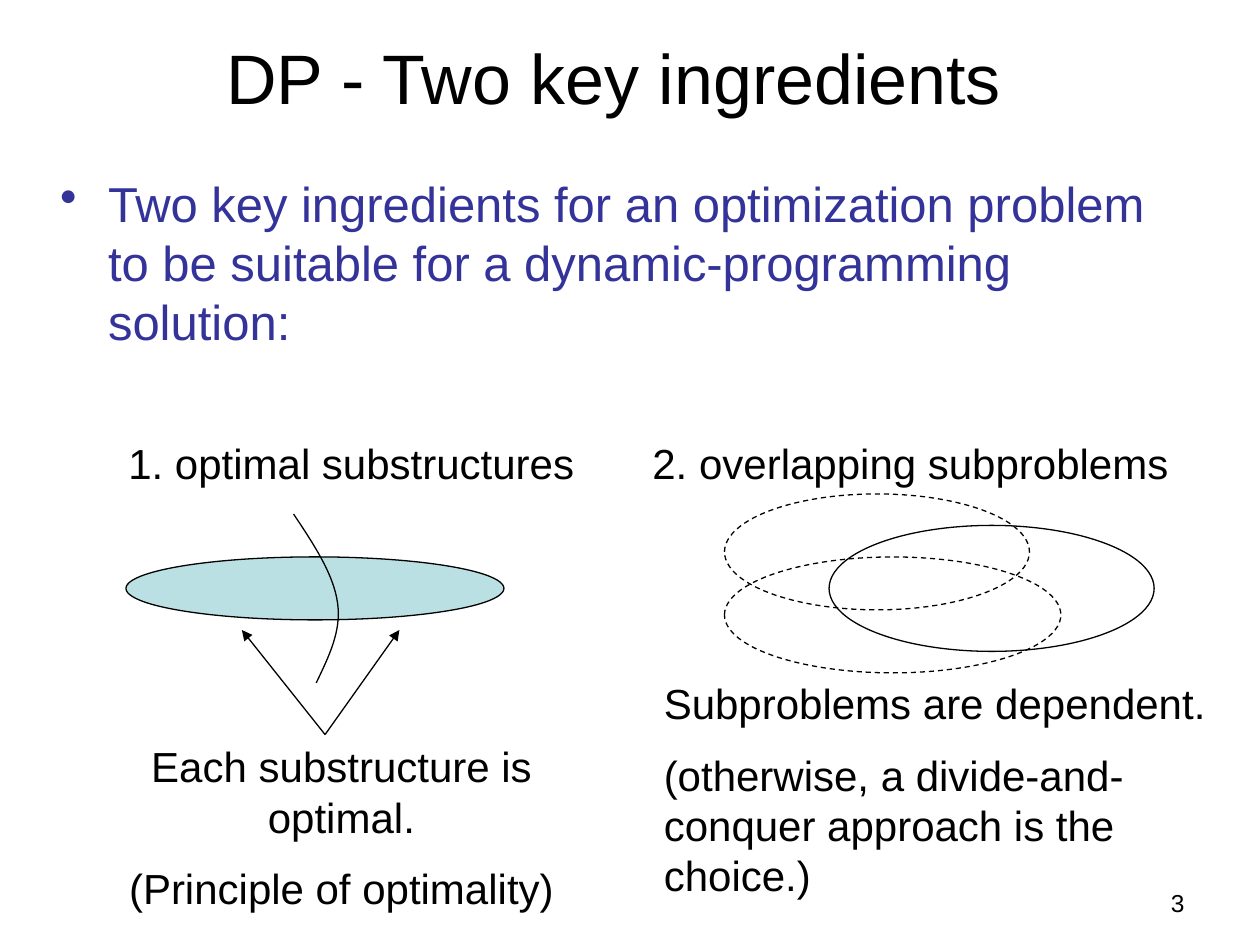
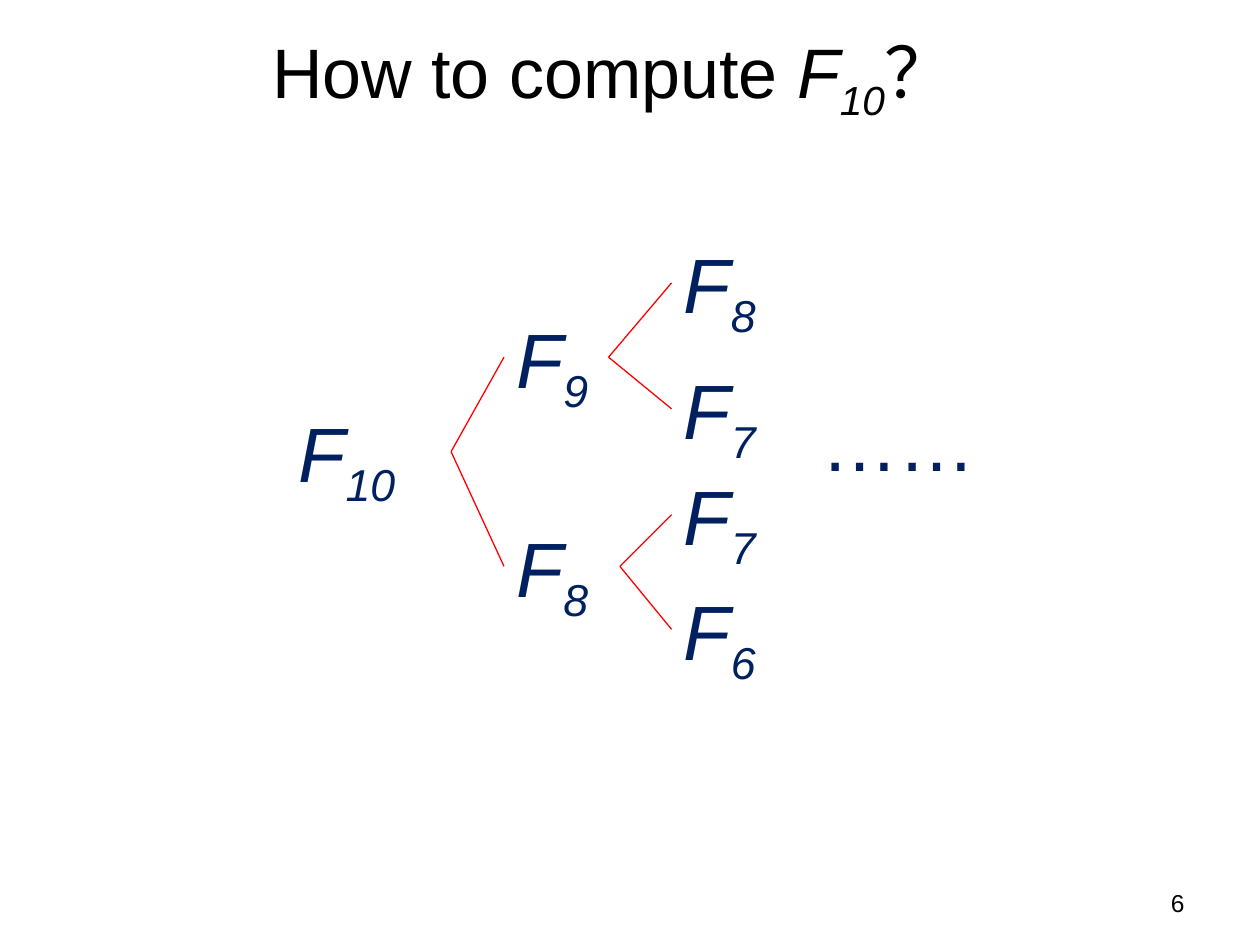
from lxml import etree
from pptx import Presentation
from pptx.dml.color import RGBColor as Rgb
from pptx.enum.dml import MSO_LINE as Dash
from pptx.enum.shapes import MSO_CONNECTOR as Link, MSO_SHAPE as Kind
from pptx.enum.text import MSO_ANCHOR as Anchor, PP_ALIGN as Align
from pptx.oxml.ns import qn
from pptx.util import Inches, Pt

# Shared look
FONT = "Arial"
BLACK, BLUE, NAVY = "000000", "333399", "002060"
TEAL, RED = "BBE0E3", "FF0000"
THIN = Pt(0.75)


def color(code):
    return Rgb.from_string(code)


def inch(*nums):
    return [Inches(n) for n in nums]


# Text
def add_text(slide, area, paras, size=24, tint=BLACK, align=Align.LEFT,
             bullet=False):
    """Each paragraph is a string or a list of (text, style) pairs,
    where style may hold i (italic) and s (subscript)."""
    box = slide.shapes.add_textbox(*inch(*area))
    frame = box.text_frame
    frame.word_wrap = True
    for n, runs in enumerate(paras):
        para = frame.add_paragraph() if n else frame.paragraphs[0]
        para.alignment = align
        if n:
            para.space_before = Pt(size / 2)
        if bullet:
            add_bullet(para)
        para.font.size = Pt(size)
        para.font.name = FONT
        para.font.color.rgb = color(tint)
        for text, style in [(runs, "")] if isinstance(runs, str) else runs:
            run = para.add_run()
            run.text = text
            if "i" in style:
                run.font.italic = True
            if "s" in style:
                run._r.get_or_add_rPr().set("baseline", "-25000")
    return box


def add_bullet(para):
    props = para._p.get_or_add_pPr()
    props.set("marL", str(Inches(0.38)))
    props.set("indent", str(Inches(-0.38)))
    etree.SubElement(props, qn("a:buChar")).set("char", "•")


def add_page(deck, title, number):
    slide = deck.slides.add_slide(deck.slide_layouts[6])
    add_text(slide, (7.17, 7, 2.33, 0.35), [number], 14, align=Align.RIGHT)
    head = add_text(slide, (0.37, 0.11, 9, 0.99), [title], 40,
                    align=Align.CENTER)
    head.text_frame.vertical_anchor = Anchor.MIDDLE
    return slide


# Lines and shapes
def set_line(shape, tint=BLACK):
    shape.line.color.rgb = color(tint)
    shape.line.width = THIN


def add_line(slide, start, end, tint=BLACK, arrow=False):
    line = slide.shapes.add_connector(Link.STRAIGHT, *inch(*start, *end))
    set_line(line, tint)
    if arrow:
        tip = etree.SubElement(line.line._get_or_add_ln(), qn("a:tailEnd"))
        tip.set("type", "triangle")
    etree.SubElement(line._element.spPr, qn("a:effectLst"))
    return line


def add_oval(slide, area, fill=None, dash=False):
    oval = slide.shapes.add_shape(Kind.OVAL, *inch(*area))
    oval.shadow.inherit = False
    set_line(oval)
    if fill:
        oval.fill.solid()
        oval.fill.fore_color.rgb = color(fill)
    else:
        oval.fill.background()
    if dash:
        oval.line.dash_style = Dash.DASH


def add_curve(slide, points):
    """Draw cubic curves: a start, then three points for each curve."""
    pen = slide.shapes.build_freeform(*inch(*points[0]), scale=1.0)
    pen.add_line_segments([inch(*p) for p in points[1:]], close=False)
    curve = pen.convert_to_shape()
    curve.shadow.inherit = False
    curve.fill.background()
    set_line(curve)
    steps = list(curve._element.iter(qn("a:lnTo")))
    for n in range(0, len(steps), 3):
        bend = etree.Element(qn("a:cubicBezTo"))
        steps[n].addprevious(bend)
        for step in steps[n:n + 3]:
            bend.append(step[0])
            step.getparent().remove(step)


# Recursion tree
def add_term(slide, left, top, width, index):
    return add_text(slide, (left, top, width, 0.83),
                    [[("F", "i"), (index, "is")]], 44, NAVY)


def join(slide, root, kids):
    for kid in kids:
        line = add_line(slide, (0, 0), (1, 1), RED)
        line.begin_connect(root, 3)
        line.end_connect(kid, 1)


# Slides
def add_keys(deck):
    slide = add_page(deck, "DP - Two key ingredients", "3")
    add_text(slide, (0.38, 1.33, 9, 5.55),
             ["Two key ingredients for an optimization problem to be "
              "suitable for a dynamic-programming solution:"],
             28, BLUE, bullet=True)

    # Optimal substructures
    add_text(slide, (0.92, 3.42, 4.08, 0.5), ["1. optimal substructures"])
    add_oval(slide, (1, 4.42, 3, 0.5), TEAL)
    add_curve(slide, [(2.33, 4.08), (2.49, 4.32), (2.65, 4.56), (2.68, 4.79),
                      (2.71, 5.01), (2.61, 5.21), (2.51, 5.42)])
    for left in (1.92, 3.17):
        add_line(slide, (2.58, 5.83), (left, 5), arrow=True)
    add_text(slide, (0.67, 5.83, 4.08, 1.1),
             ["Each substructure is optimal.", "(Principle of optimality)"],
             align=Align.CENTER)

    # Overlapping subproblems
    add_text(slide, (5.08, 3.42, 4.33, 0.5), ["2. overlapping subproblems"])
    add_oval(slide, (5.75, 3.92, 2.42, 0.92), dash=True)
    add_oval(slide, (6.58, 4.17, 2.58, 1))
    add_oval(slide, (5.75, 4.42, 2.67, 0.92), dash=True)
    add_text(slide, (5.17, 5.33, 4.83, 1.5),
             ["Subproblems are dependent.",
              "(otherwise, a divide-and-conquer approach is the choice.)"])


def add_tree(deck):
    title = [("How to compute ", ""), ("F", "i"), ("10", "is"), ("？", "")]
    slide = add_page(deck, title, "6")
    root = add_term(slide, 2.27, 3.17, 1.31, "10")
    high = add_term(slide, 4, 2.42, 0.83, "9")
    low = add_term(slide, 4, 4.08, 0.92, "8")
    ends = [add_term(slide, 5.33, top, 1, index) for top, index in
            ((1.83, "8"), (2.83, "7"), (3.67, "7"), (4.58, "6"))]
    join(slide, root, (high, low))
    join(slide, high, ends[:2])
    join(slide, low, ends[2:])
    add_text(slide, (6.42, 3.08, 2.25, 0.83), ["……"], 44, NAVY)


def main():
    deck = Presentation()
    deck.slide_width, deck.slide_height = inch(10, 7.5)
    add_keys(deck)
    add_tree(deck)
    deck.save("out.pptx")


if __name__ == "__main__":
    main()
